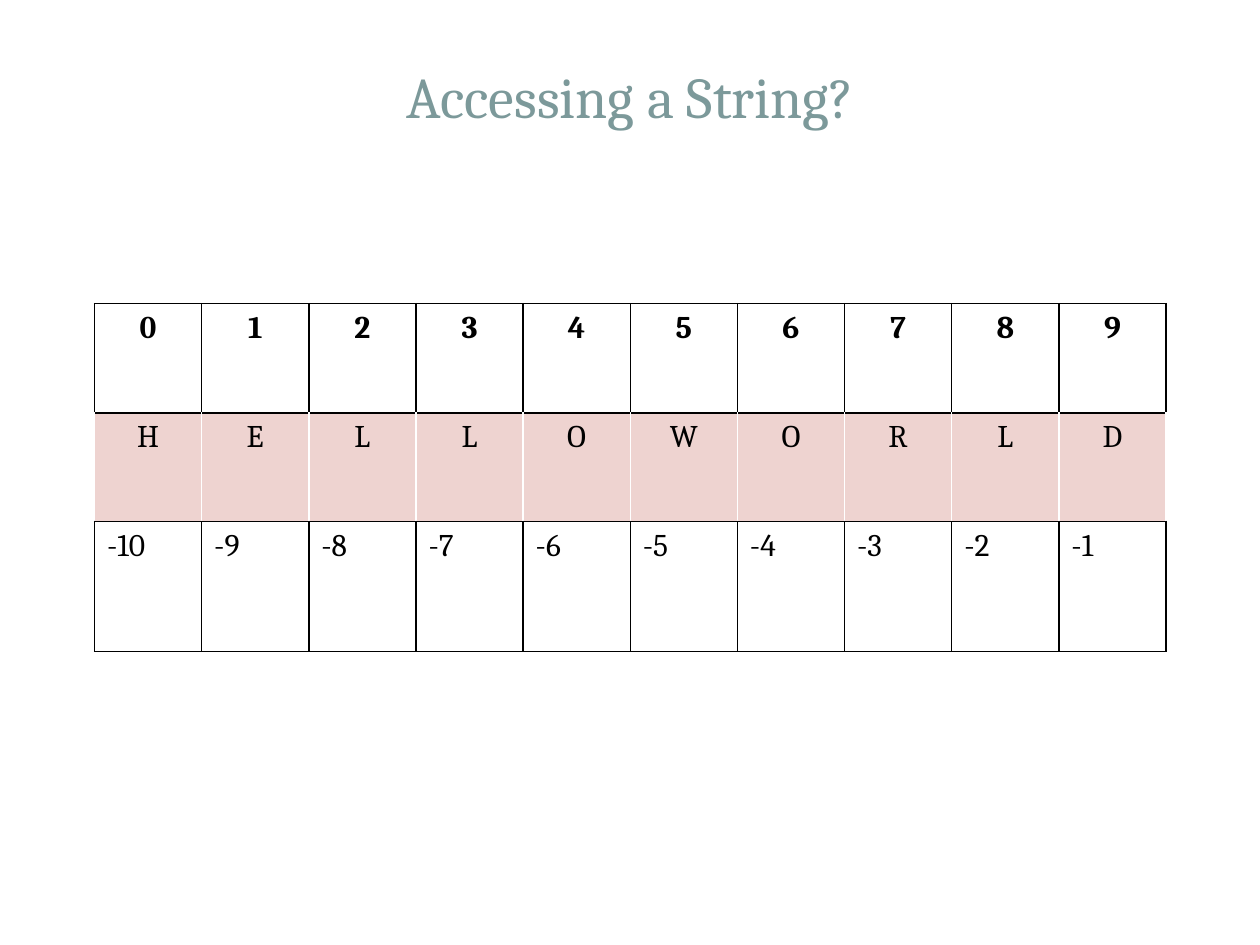
from dataclasses import dataclass

from lxml.etree import SubElement
from pptx import Presentation
from pptx.dml.color import RGBColor as RGB
from pptx.enum.text import MSO_ANCHOR as Anchor, PP_ALIGN as Align
from pptx.oxml.ns import qn
from pptx.util import Pt

TITLE = "Accessing a String?"
WORD = "HELLOWORLD"
COUNT = len(WORD)


@dataclass(frozen=True)
class Theme:
    font: str = "Cambria"
    head: str = "7C999A"
    ink: str = "000000"
    white: str = "FFFFFF"
    pink: str = "EED3D0"
    head_size: float = 33
    cell_size: float = 18
    rule: float = 1


THEME = Theme()

# texts, row height, alignment, bold, fill, colour of the side borders
ROWS = [
    (range(COUNT), 62.5, Align.CENTER, True, None, THEME.ink),
    (WORD, 62, Align.CENTER, False, THEME.pink, THEME.white),
    (range(-COUNT, 0), 74.2, Align.LEFT, False, None, THEME.ink),
]
LEFT, TOP, COL = 54, 173.5, 61.25


def style(para, size, color, align, bold=False):
    para.alignment = align
    for run in para.runs:
        font = run.font
        font.name, font.size, font.bold = THEME.font, Pt(size), bold
        font.color.rgb = RGB.from_string(color)


def border(cell, side):
    """Draw all four edges; side colours left and right."""
    props = cell._tc.get_or_add_tcPr()
    edges = [("L", side), ("R", side), ("T", THEME.ink), ("B", THEME.ink)]
    for i, (edge, color) in enumerate(edges):
        line = SubElement(props, qn(f"a:ln{edge}"), w=str(Pt(THEME.rule)))
        fill = SubElement(line, qn("a:solidFill"))
        SubElement(fill, qn("a:srgbClr"), val=color)
        props.insert(i, line)  # edges must precede the cell fill


def add_title(slide):
    title = slide.shapes.title
    title.left, title.top = Pt(24), Pt(18)
    title.width, title.height = Pt(672), Pt(60)
    frame = title.text_frame
    frame.text = TITLE
    frame.vertical_anchor = Anchor.BOTTOM
    style(frame.paragraphs[0], THEME.head_size, THEME.head, Align.CENTER)


def add_grid(slide):
    high = sum(row[1] for row in ROWS)
    table = slide.shapes.add_table(
        len(ROWS), COUNT, Pt(LEFT), Pt(TOP), Pt(COL * COUNT), Pt(high)
    ).table
    table.first_row = table.horz_banding = False
    for col in table.columns:
        col.width = Pt(COL)
    for r, (texts, height, align, bold, fill, side) in enumerate(ROWS):
        table.rows[r].height = Pt(height)
        for c, text in enumerate(texts):
            cell = table.cell(r, c)
            cell.text = str(text)
            style(cell.text_frame.paragraphs[0], THEME.cell_size, THEME.ink, align, bold)
            if fill:
                cell.fill.solid()
                cell.fill.fore_color.rgb = RGB.from_string(fill)
            else:
                cell.fill.background()
            border(cell, side)


def main():
    deck = Presentation()
    deck.slide_width, deck.slide_height = Pt(720), Pt(540)
    slide = deck.slides.add_slide(deck.slide_layouts[5])
    add_title(slide)
    add_grid(slide)
    deck.save("out.pptx")


if __name__ == "__main__":
    main()
